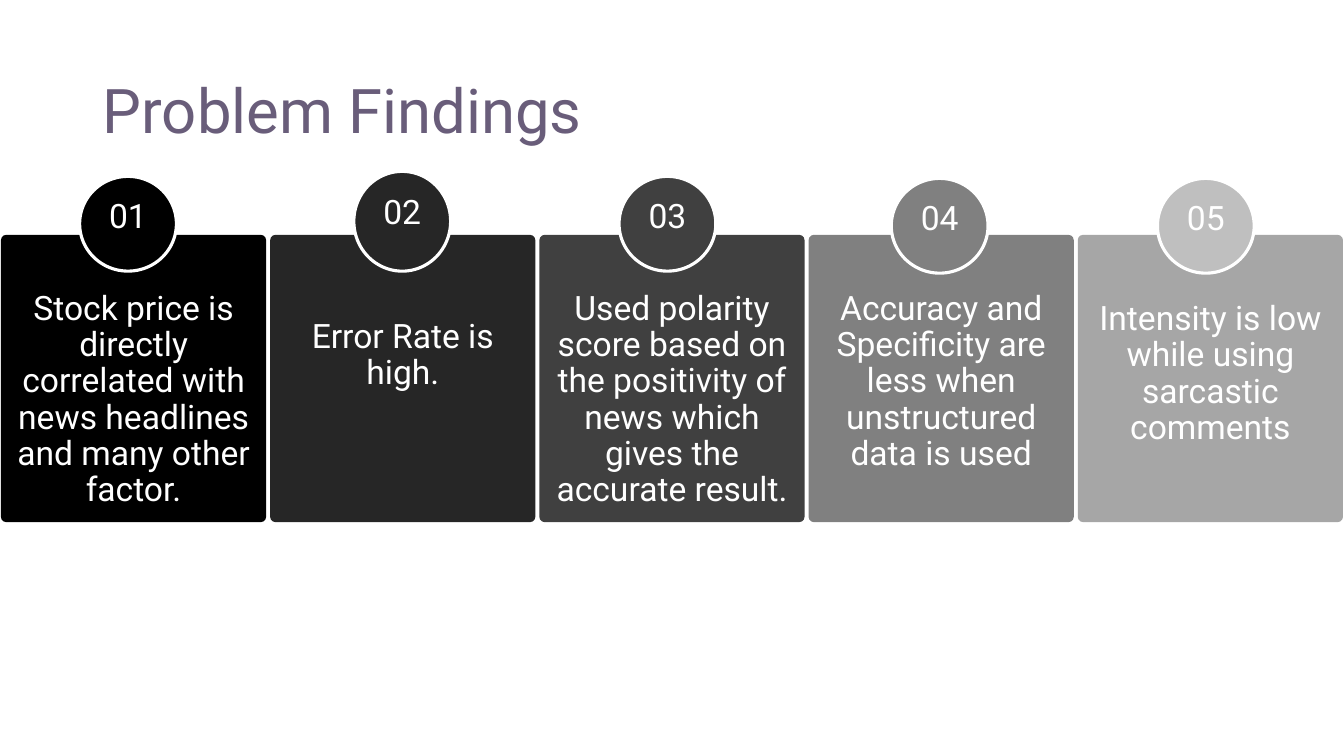
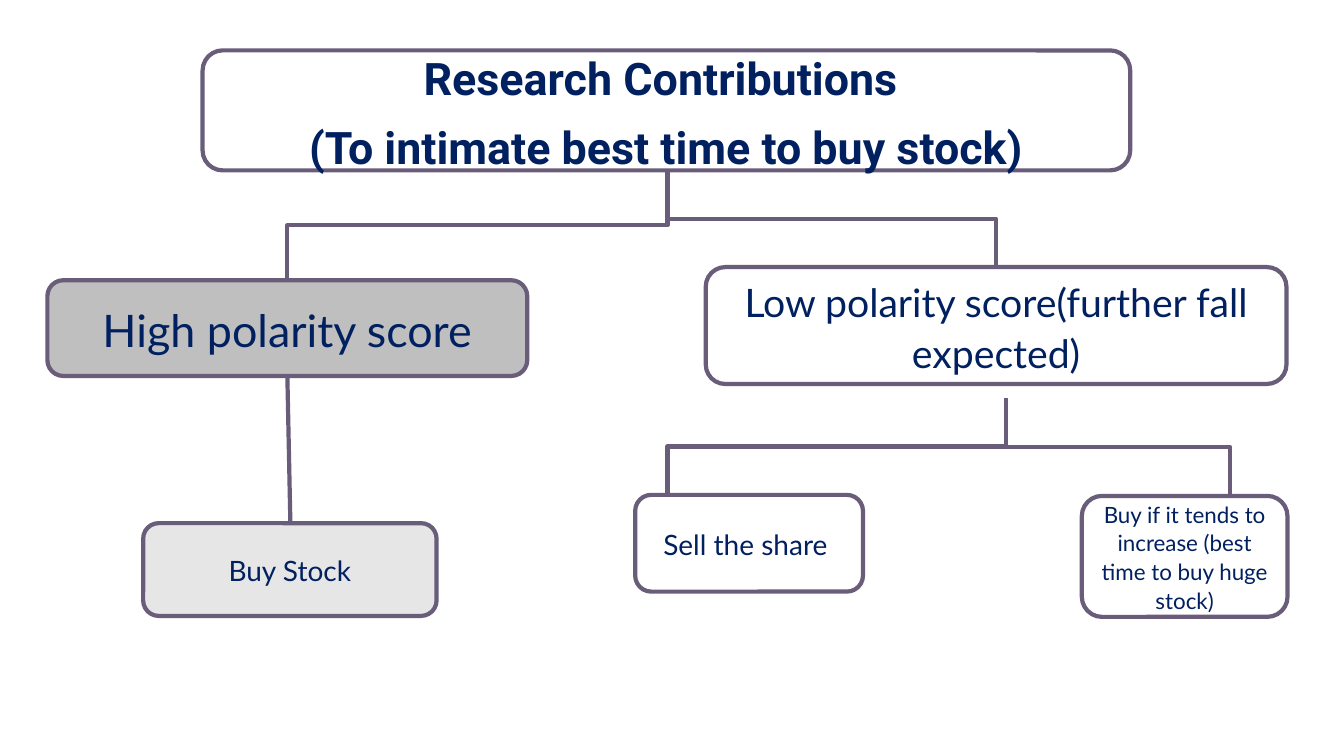
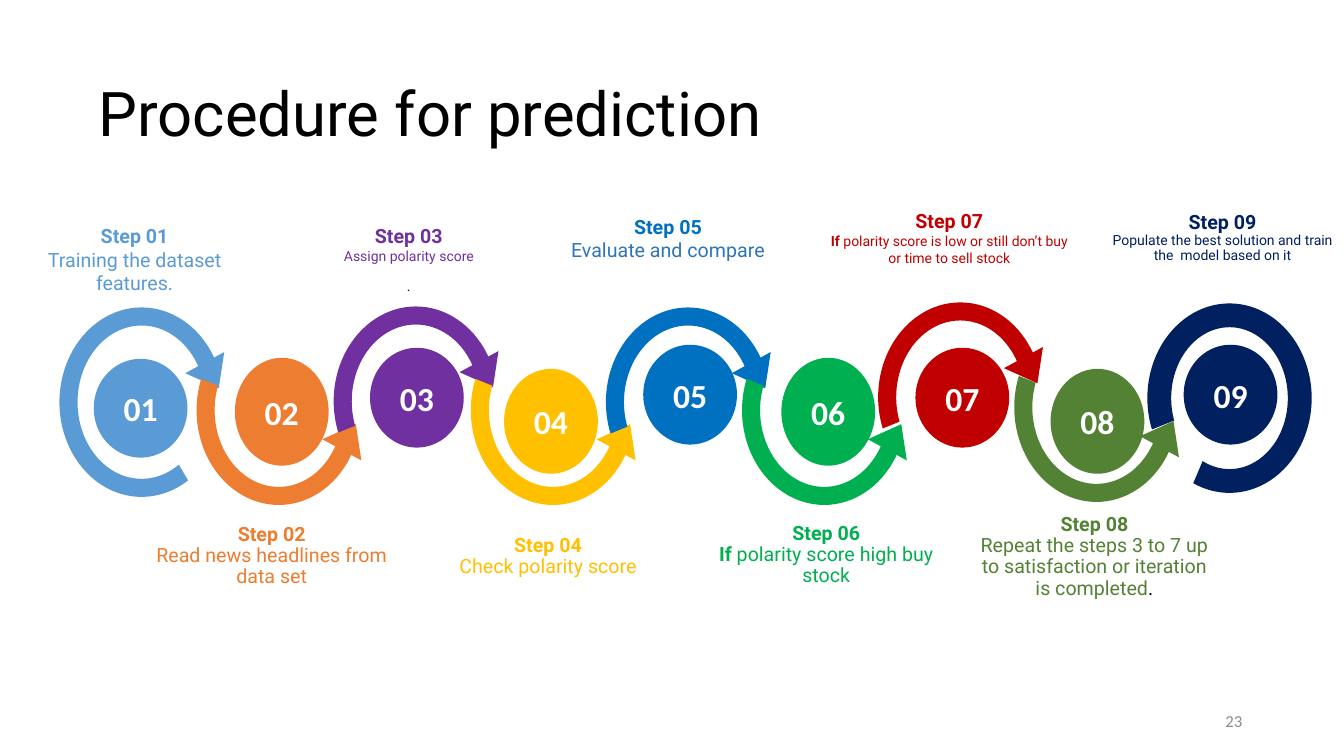
from dataclasses import dataclass

from lxml.etree import SubElement
from pptx import Presentation
from pptx.dml.color import RGBColor
from pptx.enum.shapes import MSO_CONNECTOR as CONN, MSO_SHAPE as SHAPE
from pptx.enum.text import MSO_ANCHOR as ANCHOR, MSO_AUTO_SIZE as FIT, PP_ALIGN as ALIGN
from pptx.oxml.ns import qn
from pptx.util import Inches, Pt


@dataclass(frozen=True)
class Theme:
    font: str = "Roboto"
    box_font: str = "Lato"
    number_font: str = "Calibri"
    plum: str = "695D7A"
    navy: str = "002060"
    white: str = "FFFFFF"
    black: str = "000000"
    grey: str = "8C8C8C"
    title: int = 44
    large: int = 24
    label: int = 14
    small: int = 10
    page: int = 12


T = Theme()
TITLE_ONLY, BLANK = 5, 6

# text, card colour, disc colour, disc offset, disc top, disc height, text top, text height
FINDINGS = [
    ("Stock price is directly correlated with news headlines and many other factor.",
     "000000", "000000", 0.78, 1.75, 0.94, 2.89, 2.18),
    ("Error Rate is high.", "262626", "262626", 0.83, 1.7, 0.99, 3.17, 0.73),
    ("Used polarity score based on the positivity of news which gives the accurate result.",
     "404040", "404040", 0.79, 1.75, 0.94, 2.89, 2.18),
    ("Accuracy and Specificity are less when unstructured data is used",
     "808080", "808080", 0.82, 1.77, 0.94, 2.89, 1.82),
    ("Intensity is low while using sarcastic comments",
     "A6A6A6", "BFBFBF", 0.79, 1.77, 0.94, 2.99, 1.45),
]
CARD_LEFT, CARD_PITCH, CARD_TOP, CARD_W, CARD_H = 0.01, 2.67, 2.33, 2.63, 2.85

# paragraphs, box, fill, font, size, bold
TREE = [
    (["Research Contributions ", "(To intimate best time to buy stock)"],
     (2.01, 0.5, 9.2, 1.19), T.white, T.font, 32, True),
    (["Low polarity score(further fall expected)"],
     (7, 2.65, 5.76, 1.16), T.white, T.box_font, 28, False),
    (["Buy Stock"], (1.42, 5.19, 2.91, 0.92), "E7E6E6", T.box_font, 20, False),
    (["Sell the share "], (6.3, 4.91, 2.26, 0.96), T.white, T.box_font, 20, False),
    (["Buy if it tends to increase (best time to buy huge stock)"],
     (10.73, 4.92, 2.04, 1.2), T.white, T.box_font, 16, False),
    (["High polarity score"], (0.47, 2.78, 4.76, 0.95), "BFBFBF", T.box_font, 32, False),
]
BRANCHES = [
    ((6.62, 1.69), (2.85, 2.78)),
    ((6.62, 1.69), (9.88, 2.65)),
    ((9.98, 3.95), (6.62, 4.91)),
    ((9.98, 3.95), (12.2, 4.92)),
]
HIGH_TO_BUY = ((2.85, 3.73), (2.88, 5.19))

# colour, arc (left, top), disc (left, top, height), label (left, top, height), line spacing,
# paragraphs of (text, changes to the label style)
SMALL = {"size": T.small}
BOLD = {"bold": True}
STEPS = [
    ("5B9BD5", (0.59, 3.05), (0.93, 3.56, 0.98), (0.14, 2.22, 0.71), 1,
     [[("Training the dataset features.", {})]]),
    ("ED7D31", (1.95, 3.13), (2.33, 3.55, 1.07), (1.5, 5.2, 0.64), 0.9,
     [[("Read news headlines from data set", {})]]),
    ("7030A0", (3.31, 3.04), (3.67, 3.45, 0.99), (2.86, 2.22, 0.7), 1,
     [[("Assign polarity score", SMALL)], [(".", {**SMALL, "color": T.black})]]),
    ("FFC000", (4.67, 3.13), (5, 3.66, 1.04), (4.24, 5.31, 0.42), 0.9,
     [[("Check polarity score", {})]]),
    ("0070C0", (6.01, 3.05), (6.38, 3.42, 0.99), (5.43, 2.13, 0.47), 1,
     [[("Evaluate and compare", {"color": "2E75B6"})]]),
    ("00B050", (7.36, 3.13), (7.75, 3.55, 1.07), (7, 5.19, 0.64), 0.9,
     [[("If ", BOLD), ("polarity score high buy stock", {})]]),
    ("C00000", (8.71, 3), (9.08, 3.45, 0.99), (8.22, 2.08, 0.56), 1,
     [[("If ", {**SMALL, **BOLD}),
       ("polarity score is low or still don’t buy or time to sell stock", SMALL)]]),
    ("548235", (10.06, 3.1), (10.42, 3.66, 1.04), (9.66, 5.1, 0.85), 0.9,
     [[("Repeat the steps 3 to 7 up to satisfaction or iteration is completed", {}),
       (".", {"color": T.black})]]),
    ("002060", (11.38, 3.01), (11.74, 3.42, 0.99), (10.93, 2.11, 0.5), 0.9,
     [[("Populate the best solution and train the  model based on it", SMALL)]]),
]
ARC_W, ARC_H, HEAD_W, HEAD_H = 1.63, 1.88, 0.44, 0.29
FULL_TURN = 216  # 360 degrees in adjustment units
ARC_START, ARC_END, ARC_THICK = 94.81, 199.08, 0.11


def rgb(value):
    return RGBColor.from_string(value)


def add_run(p, text, size, color, font=T.font, bold=False):
    r = p.add_run()
    r.text = text
    r.font.name, r.font.size, r.font.bold = font, Pt(size), bold
    r.font.color.rgb = rgb(color)


def add_paragraph(tf, first, align=ALIGN.CENTER, spacing=None, after=0):
    p = tf.paragraphs[0] if first else tf.add_paragraph()
    p.alignment, p.space_after = align, Pt(after)
    if spacing:
        p.line_spacing = spacing
    return p


def add_box(s, kind, box, fill, line=None, line_width=3):
    sp = s.shapes.add_shape(kind, *map(Inches, box))
    sp.shadow.inherit = False
    sp.fill.solid()
    sp.fill.fore_color.rgb = rgb(fill)
    if line:
        sp.line.color.rgb = rgb(line)
        sp.line.width = Pt(line_width)
    else:
        sp.line.fill.background()
    return sp


def add_text_frame(s, box, anchor=ANCHOR.TOP, inset=0):
    tf = s.shapes.add_textbox(*map(Inches, box)).text_frame
    tf.word_wrap, tf.vertical_anchor = True, anchor
    tf.margin_left = tf.margin_right = tf.margin_top = tf.margin_bottom = Inches(inset)
    return tf


def add_title(s, text, box, color):
    sp = s.shapes.title
    sp.left, sp.top, sp.width, sp.height = map(Inches, box)
    tf = sp.text_frame
    tf.auto_size, tf.vertical_anchor = FIT.NONE, ANCHOR.MIDDLE
    add_run(add_paragraph(tf, True, ALIGN.LEFT, 0.9), text, T.title, color)


def add_disc(s, box, number, fill, font, bold, anchor, line=None):
    tf = add_box(s, SHAPE.OVAL, box, fill, line, 2.25).text_frame
    tf.vertical_anchor = anchor
    add_run(add_paragraph(tf, True), f"{number:02}", T.large, T.white, font, bold)


def add_line(s, kind, start, end):
    c = s.shapes.add_connector(kind, *map(Inches, (*start, *end)))
    c.line.color.rgb, c.line.width = rgb(T.plum), Pt(3)
    SubElement(c.element.spPr, qn("a:effectLst"))
    return c


def add_branch(s, start, end):
    """Elbow that leaves downwards: a sideways elbow turned about its centre."""
    (x1, y1), (x2, y2) = start, end
    cx, cy = (x1 + x2) / 2, (y1 + y2) / 2
    half_w, half_h = (y2 - y1) / 2, abs(x2 - x1) / 2
    side = 1 if x2 < x1 else -1
    c = add_line(s, CONN.ELBOW, (cx - side * half_w, cy - half_h),
                 (cx + side * half_w, cy + half_h))
    c.element.spPr.find(qn("a:xfrm")).set("rot", str((90 if side > 0 else 270) * 60000))


def add_swirl(s, i, color, left, top):
    """Arc of one step, over the top for odd steps and under for even ones."""
    first, last = i == 0, i == len(STEPS) - 1
    over = i % 2 == 0
    start, end, thick = ARC_START, ARC_END, ARC_THICK
    if first:
        start = 35.56
    if last:
        end, thick = 67.86, 0.145
    if not over:
        start, end = FULL_TURN - end, FULL_TURN - start
    arc = add_box(s, SHAPE.BLOCK_ARC, (left, top, ARC_W, ARC_H), color)
    for k, value in enumerate((start, end, thick)):
        arc.adjustments[k] = value
    if not last:
        head_top = top + (0.53 if over else ARC_H - 0.53 - HEAD_H)
        head = add_box(s, SHAPE.ISOSCELES_TRIANGLE, (left + 1.29, head_top, HEAD_W, HEAD_H), color)
        head.rotation = 151.5 if over else 28.5


def build_findings(s):
    add_title(s, "Problem Findings", (0.92, 0.4, 11.5, 1.45), T.plum)
    for i, (text, fill, disc, dx, disc_top, disc_h, text_top, text_h) in enumerate(FINDINGS):
        left = CARD_LEFT + i * CARD_PITCH
        card = add_box(s, SHAPE.ROUNDED_RECTANGLE, (left, CARD_TOP, CARD_W, CARD_H), fill)
        card.adjustments[0] = 0.02
        add_disc(s, (left + dx, disc_top, 0.96, disc_h), i + 1, disc, T.font, False,
                 ANCHOR.TOP, T.white)
        tf = add_text_frame(s, (left + 0.07, text_top, CARD_W - 0.14, text_h))
        add_run(add_paragraph(tf, True, spacing=0.9, after=10), text, T.large, T.white)


def build_tree(s):
    for texts, box, fill, font, size, bold in TREE:
        tf = add_box(s, SHAPE.ROUNDED_RECTANGLE, box, fill, T.plum).text_frame
        for i, text in enumerate(texts):
            add_run(add_paragraph(tf, i == 0, spacing=1.07, after=8), text, size, T.navy, font, bold)
    for start, end in BRANCHES:
        add_branch(s, start, end)
    add_line(s, CONN.STRAIGHT, *HIGH_TO_BUY)


def build_procedure(s):
    add_title(s, "Procedure for prediction", (0.88, 0.5, 11.5, 1.31), T.black)
    for i, (color, arc, *_) in enumerate(STEPS):
        add_swirl(s, i, color, *arc)
    for i, (color, _, disc, label, spacing, paragraphs) in enumerate(STEPS):
        left, top, height = disc
        add_disc(s, (left, top, 0.93, height), i + 1, color, T.number_font, True, ANCHOR.MIDDLE)
        left, top, height = label
        tf = add_text_frame(s, (left, top, 2.39, height), ANCHOR.MIDDLE)
        for k, runs in enumerate(paragraphs):
            after = 9 if k < len(paragraphs) - 1 else 0
            p = add_paragraph(tf, k == 0, spacing=spacing, after=after)
            if k == 0:
                add_run(p, f"Step {i + 1:02}", T.label, color, bold=True)
                p.add_line_break()
            for text, changes in runs:
                add_run(p, text, **{"size": T.label, "color": color, **changes})
    tf = add_text_frame(s, (9.42, 6.95, 3, 0.4), ANCHOR.MIDDLE, 0.1)
    add_run(add_paragraph(tf, True, ALIGN.RIGHT), "23", T.page, T.grey, T.number_font)


def main():
    prs = Presentation()
    prs.slide_width, prs.slide_height = Inches(13.33), Inches(7.5)
    for layout, build in ((TITLE_ONLY, build_findings), (BLANK, build_tree),
                          (TITLE_ONLY, build_procedure)):
        build(prs.slides.add_slide(prs.slide_layouts[layout]))
    prs.save("out.pptx")


if __name__ == "__main__":
    main()
